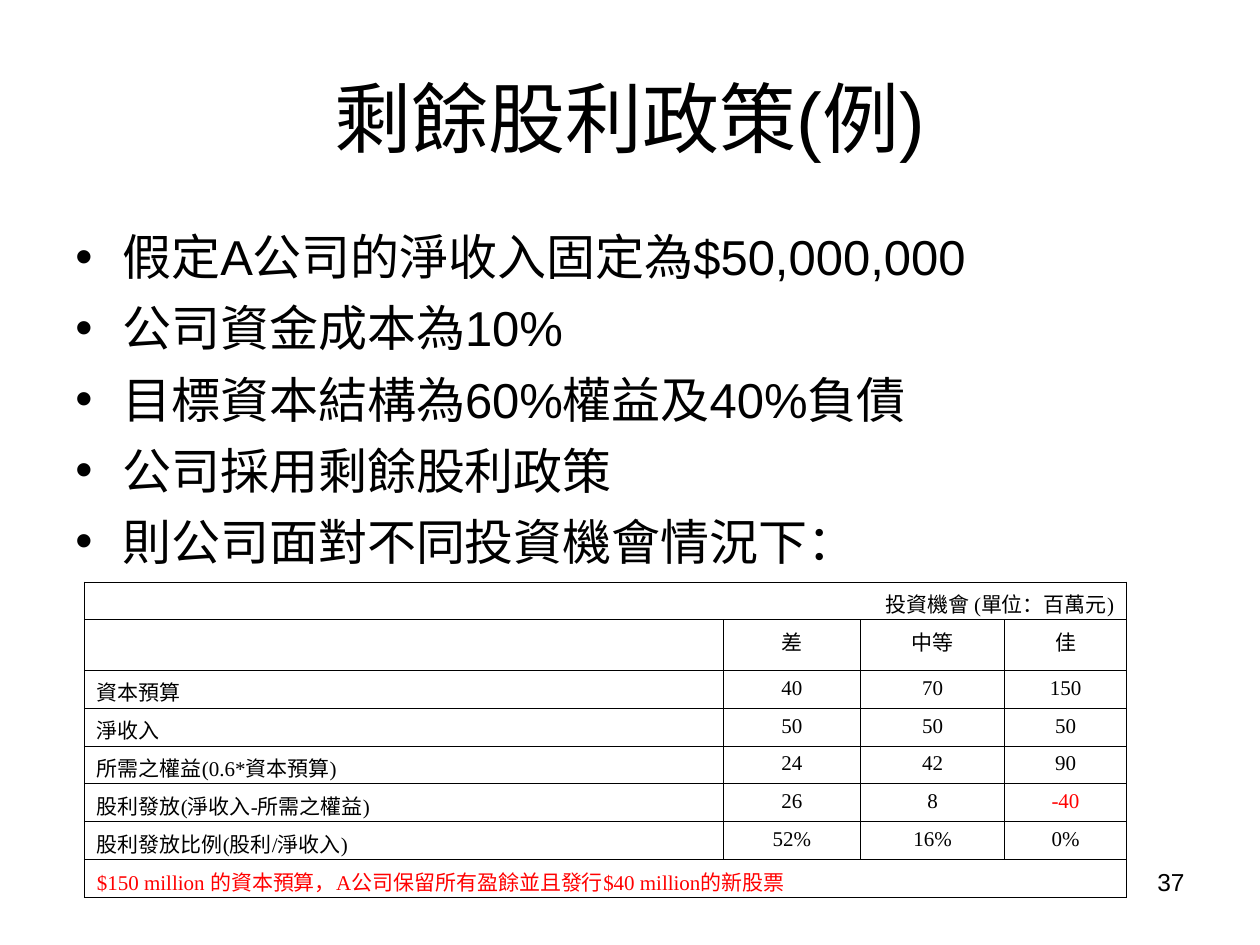
from dataclasses import dataclass

from lxml.etree import SubElement
from pptx import Presentation
from pptx.dml.color import RGBColor
from pptx.enum.text import MSO_ANCHOR as Anchor, PP_ALIGN as Align
from pptx.oxml.ns import qn
from pptx.util import Cm, Pt


@dataclass(frozen=True)
class Theme:
    ink: str = "000000"
    alert: str = "FF0000"
    sans: str = "Arial"
    serif: str = "Times New Roman"
    title: float = 44
    body: float = 28
    number: float = 14
    cell: float = 12
    rule: float = 0.45


class SlideBuilder:
    def __init__(self, slide, theme):
        self.slide = slide
        self.theme = theme

    def style(self, paragraph, size, face, color=None, **layout):
        for key, value in layout.items():
            setattr(paragraph, key, value)
        font = {"size": Pt(size), "name": face}
        for key, value in font.items():
            setattr(paragraph.font, key, value)
        paragraph.font.color.rgb = RGBColor.from_string(color or self.theme.ink)

    def frame(self, left, top, width, height, anchor=Anchor.TOP):
        box = self.slide.shapes.add_textbox(Cm(left), Cm(top), Cm(width), Cm(height))
        for key, value in {"word_wrap": True, "vertical_anchor": anchor}.items():
            setattr(box.text_frame, key, value)
        return box.text_frame

    def line(self, text, area, size, alignment, anchor=Anchor.TOP):
        paragraph = self.frame(*area, anchor).paragraphs[0]
        paragraph.text = text
        self.style(paragraph, size, self.theme.sans, alignment=alignment)

    def bullets(self, items, area, hanging=0.95, gap=7):
        frame = self.frame(*area)
        for index, item in enumerate(items):
            paragraph = frame.add_paragraph() if index else frame.paragraphs[0]
            paragraph.text = item
            properties = paragraph._p.get_or_add_pPr()
            properties.set("marL", str(Cm(hanging)))
            properties.set("indent", str(-Cm(hanging)))
            color = SubElement(properties, qn("a:buClr"))
            SubElement(color, qn("a:srgbClr"), val=self.theme.ink)
            SubElement(properties, qn("a:buFont"), typeface=self.theme.sans)
            SubElement(properties, qn("a:buChar"), char="•")
            if index:
                paragraph.space_before = Pt(gap)
            self.style(paragraph, self.theme.body, self.theme.sans)

    def border(self, cell):
        properties = cell._tc.get_or_add_tcPr()
        for position, side in enumerate(("lnL", "lnR", "lnT", "lnB")):
            edge = properties.makeelement(qn(f"a:{side}"), {"w": str(Pt(self.theme.rule))})
            fill = SubElement(edge, qn("a:solidFill"))
            SubElement(fill, qn("a:srgbClr"), val=self.theme.ink)
            properties.insert(position, edge)

    def table(self, heading, rows, note, left, top, widths, row_height):
        count = len(rows) + 2
        grid = self.slide.shapes.add_table(
            count, len(widths), Cm(left), Cm(top),
            Cm(sum(widths)), Cm(row_height * count)).table
        for key in ("first_row", "horz_banding"):
            setattr(grid, key, False)
        for column, width in zip(grid.columns, widths):
            column.width = Cm(width)
        for cell in grid.iter_cells():
            cell.fill.background()
            self.border(cell)

        # Rows of figures
        for r, values in enumerate(rows, 1):
            for c, value in enumerate(values):
                if value:
                    color = self.theme.alert if value.startswith("-") else None
                    self.fill_cell(grid.cell(r, c), value,
                                   Align.CENTER if c else Align.LEFT, color)

        # Full-width heading and note
        last = len(widths) - 1
        for r, text, alignment, color in (
                (0, heading, Align.RIGHT, None),
                (count - 1, note, Align.LEFT, self.theme.alert)):
            grid.cell(r, 0).merge(grid.cell(r, last))
            self.fill_cell(grid.cell(r, 0), text, alignment, color)

    def fill_cell(self, cell, text, alignment, color):
        paragraph = cell.text_frame.paragraphs[0]
        paragraph.text = text
        self.style(paragraph, self.theme.cell, self.theme.serif, color, alignment=alignment)


ASSUMPTIONS = [
    "假定A公司的淨收入固定為$50,000,000",
    "公司資金成本為10%",
    "目標資本結構為60%權益及40%負債",
    "公司採用剩餘股利政策",
    "則公司面對不同投資機會情況下：",
]
SCENARIOS = [
    ("", "差", "中等", "佳"),
    ("資本預算", "40", "70", "150"),
    ("淨收入", "50", "50", "50"),
    ("所需之權益(0.6*資本預算)", "24", "42", "90"),
    ("股利發放(淨收入-所需之權益)", "26", "8", "-40"),
    ("股利發放比例(股利/淨收入)", "52%", "16%", "0%"),
]
NOTE = "$150 million 的資本預算，A公司保留所有盈餘並且發行$40 million的新股票"


def main():
    deck = Presentation()
    deck.slide_width, deck.slide_height = Cm(25.4), Cm(19.05)
    theme = Theme()
    page = SlideBuilder(deck.slides.add_slide(deck.slide_layouts[6]), theme)

    # Title and assumptions
    page.line("剩餘股利政策(例)", (1.27, 0.76, 22.86, 3.18), theme.title,
              Align.CENTER, Anchor.MIDDLE)
    page.bullets(ASSUMPTIONS, (1.27, 4.45, 22.63, 12.57))

    # Dividend by investment opportunity
    page.table("投資機會 (單位：百萬元)", SCENARIOS, NOTE, left=1.7, top=11.73,
               widths=(12.88, 2.77, 2.9, 2.46), row_height=0.76)

    # Page number
    page.line("37", (18.21, 17.35, 5.92, 1.32), theme.number, Align.RIGHT)

    deck.save("out.pptx")


if __name__ == "__main__":
    main()
